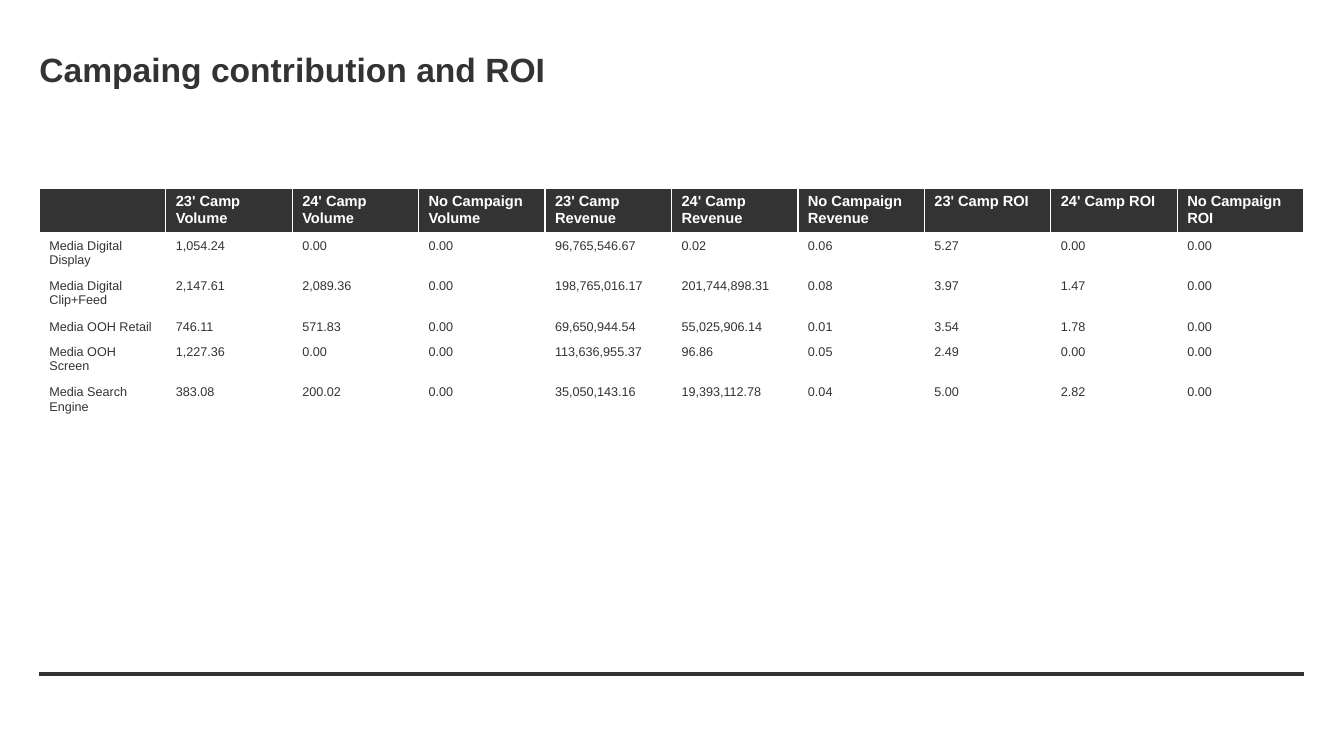
from dataclasses import dataclass

from lxml.etree import SubElement
from pptx import Presentation
from pptx.dml.color import RGBColor
from pptx.enum.shapes import MSO_CONNECTOR
from pptx.enum.text import MSO_ANCHOR
from pptx.oxml.ns import qn
from pptx.slide import Slide
from pptx.table import _Cell
from pptx.text.text import _Paragraph
from pptx.util import Inches, Pt


@dataclass(frozen=True)
class Theme:
    font: str = "Arial"
    dark: str = "333333"
    white: str = "FFFFFF"
    title_size: float = 24
    header_size: float = 10.5
    body_size: float = 9
    rule_width: float = 3
    border_width: float = 1
    header_border_width: float = 3


@dataclass(frozen=True)
class CellStyle:
    size: float
    color: str
    fill: str
    bold: bool
    bottom_border: float


@dataclass(frozen=True)
class MediaRow:
    name: str
    volumes: tuple[str, str, str]
    revenues: tuple[str, str, str]
    returns: tuple[str, str, str]

    def texts(self) -> list[str]:
        return [self.name, *self.volumes, *self.revenues, *self.returns]


THEME = Theme()
HEADER = CellStyle(THEME.header_size, THEME.white, THEME.dark, True, THEME.header_border_width)
BODY = CellStyle(THEME.body_size, THEME.dark, THEME.white, False, THEME.border_width)

LEFT, CONTENT_WIDTH = 0.39, 12.54
TABLE_TOP, ROW_HEIGHT = 1.87, 0.25
RULE_TOP = 6.69

PERIODS = ("23' Camp", "24' Camp", "No Campaign")
MEASURES = ("Volume", "Revenue", "ROI")
MEDIA_ROWS = [
    MediaRow("Media Digital Display", ("1,054.24", "0.00", "0.00"),
             ("96,765,546.67", "0.02", "0.06"), ("5.27", "0.00", "0.00")),
    MediaRow("Media Digital Clip+Feed", ("2,147.61", "2,089.36", "0.00"),
             ("198,765,016.17", "201,744,898.31", "0.08"), ("3.97", "1.47", "0.00")),
    MediaRow("Media OOH Retail", ("746.11", "571.83", "0.00"),
             ("69,650,944.54", "55,025,906.14", "0.01"), ("3.54", "1.78", "0.00")),
    MediaRow("Media OOH Screen", ("1,227.36", "0.00", "0.00"),
             ("113,636,955.37", "96.86", "0.05"), ("2.49", "0.00", "0.00")),
    MediaRow("Media Search Engine", ("383.08", "200.02", "0.00"),
             ("35,050,143.16", "19,393,112.78", "0.04"), ("5.00", "2.82", "0.00")),
]


def set_font(paragraph: _Paragraph, size: float, color: str, bold: bool) -> None:
    font = paragraph.font
    font.name = THEME.font
    font.size = Pt(size)
    font.bold = bold
    font.color.rgb = RGBColor.from_string(color)


def add_title(page: Slide, text: str) -> None:
    box = page.shapes.add_textbox(Inches(LEFT), Inches(0.47), Inches(CONTENT_WIDTH), Inches(0.44))
    frame = box.text_frame
    frame.word_wrap = True
    frame.vertical_anchor = MSO_ANCHOR.MIDDLE
    frame.margin_left = frame.margin_right = frame.margin_top = frame.margin_bottom = 0
    paragraph = frame.paragraphs[0]
    paragraph.text = text
    set_font(paragraph, THEME.title_size, THEME.dark, True)


def add_rule(page: Slide) -> None:
    rule = page.shapes.add_connector(
        MSO_CONNECTOR.STRAIGHT, Inches(LEFT), Inches(RULE_TOP),
        Inches(LEFT + CONTENT_WIDTH), Inches(RULE_TOP))
    rule.line.color.rgb = RGBColor.from_string(THEME.dark)
    rule.line.width = Pt(THEME.rule_width)
    SubElement(rule.element.spPr, qn("a:effectLst"))


def set_borders(cell: _Cell, bottom_width: float) -> None:
    properties = cell._tc.get_or_add_tcPr()
    side = THEME.border_width
    for tag, width in (("lnL", side), ("lnR", side), ("lnT", side), ("lnB", bottom_width)):
        border = SubElement(properties, qn(f"a:{tag}"), w=str(Pt(width)))
        fill = SubElement(border, qn("a:solidFill"))
        SubElement(fill, qn("a:srgbClr"), val=THEME.white)


def fill_cell(cell: _Cell, text: str, style: CellStyle) -> None:
    set_borders(cell, style.bottom_border)
    cell.fill.solid()
    cell.fill.fore_color.rgb = RGBColor.from_string(style.fill)
    paragraph = cell.text_frame.paragraphs[0]
    if text:
        paragraph.text = text
    set_font(paragraph, style.size, style.color, style.bold)


def add_media_table(page: Slide) -> None:
    headings = [""] + [f"{period} {measure}" for measure in MEASURES for period in PERIODS]
    lines = [headings] + [media.texts() for media in MEDIA_ROWS]
    table = page.shapes.add_table(
        len(lines), len(headings), Inches(LEFT), Inches(TABLE_TOP),
        Inches(CONTENT_WIDTH), Inches(ROW_HEIGHT * len(lines))).table
    table.horz_banding = False
    for row_index, texts in enumerate(lines):
        style = BODY if row_index else HEADER
        for column_index, text in enumerate(texts):
            fill_cell(table.cell(row_index, column_index), text, style)


def main() -> None:
    deck = Presentation()
    deck.slide_width, deck.slide_height = Inches(13.33), Inches(7.5)
    page = deck.slides.add_slide(deck.slide_layouts[6])

    # Footer rule and title
    add_rule(page)
    add_title(page, "Campaing contribution and ROI")

    # Volume, revenue and ROI by media
    add_media_table(page)

    deck.save("out.pptx")


if __name__ == "__main__":
    main()
